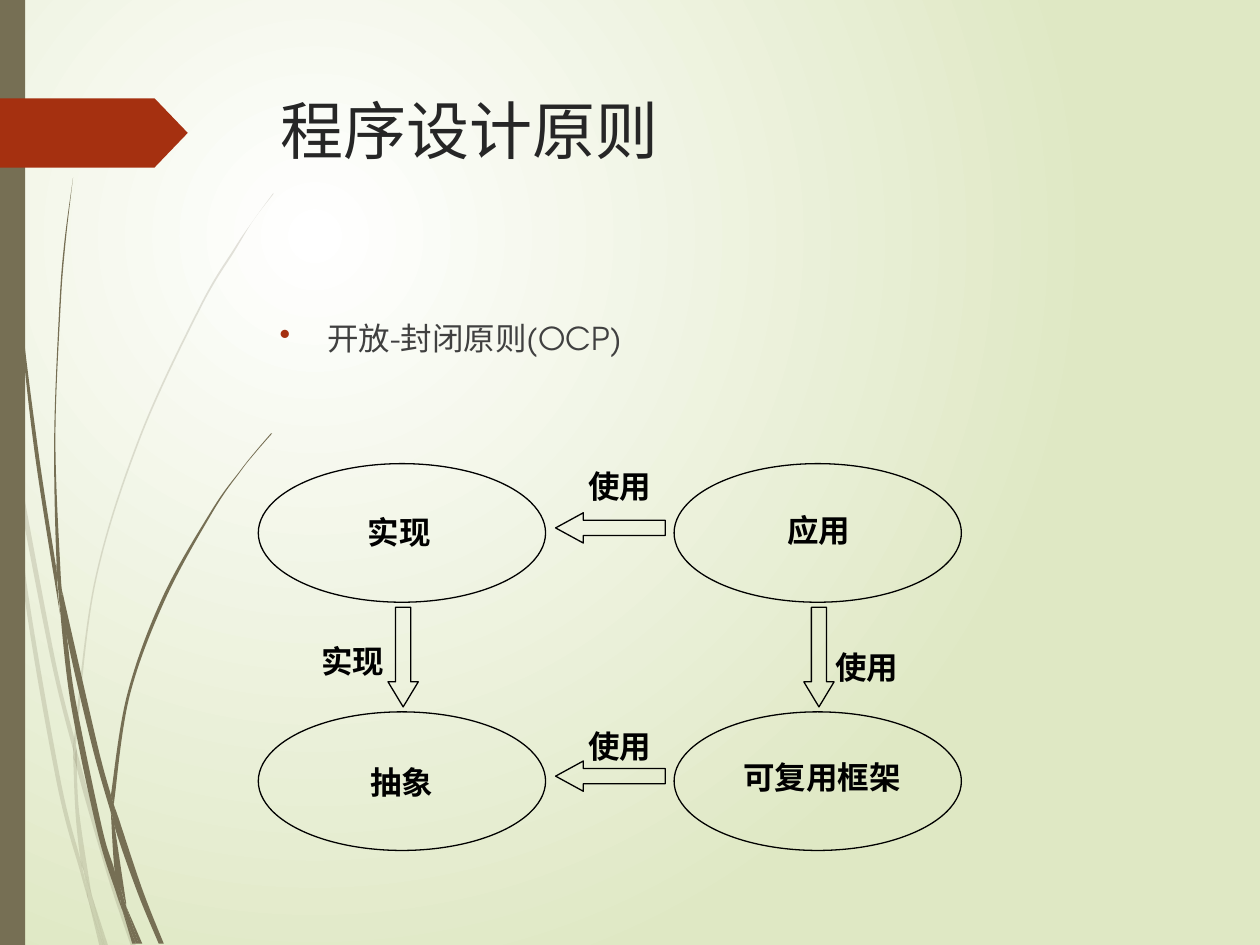
import lxml.etree
import pptx
import pptx.dml.color
import pptx.enum.shapes
import pptx.enum.text
import pptx.oxml.ns
import pptx.util

Inches = pptx.util.Inches
Pt = pptx.util.Pt
qn = pptx.oxml.ns.qn
SHAPES = pptx.enum.shapes.MSO_SHAPE

STEM, ACCENT, BLACK = "766F54", "A53010", "000000"
HEADING_FONT, LABEL_FONT = "TeX Gyre Adventor", "Courier New"

FAINT_STEMS = [
    ([(0.08, 3.5), (0.06, 3.22), (0, 2.82)], [(0, 2.99), (0.07, 3.44), (0.08, 3.5)]),
    ([(0.1, 3.45), (0.12, 3.76), (0.4, 5.22), (0.59, 5.99)],
     [(0.59, 5.86), (0.43, 5.2), (0.1, 3.45)]),
    ([(0.61, 5.96), (0.61, 6.1), (0.85, 6.94), (1.04, 7.51)],
     [(1.08, 7.51), (0.88, 6.92), (0.64, 6.07), (0.61, 5.96)]),
    ([(0.73, 7.11), (0.83, 7.51)], [(0.86, 7.51), (0.73, 7.11)]),
    ([(0.08, 3.5), (0.19, 4.7), (0.45, 6.21), (0.64, 6.93), (0.7, 7.14)],
     [(0.69, 7.07), (0.64, 6.83), (0.48, 6.19), (0.22, 4.69), (0.12, 3.76), (0.08, 3.5)]),
    ([(0.58, 5.99), (0.6, 6.46), (0.64, 6.83), (0.67, 6.92), (0.73, 7.11)],
     [(0.72, 7.06), (0.63, 6.46), (0.61, 6.1), (0.61, 6.08), (0.58, 5.99)]),
    ([(2.17, 1.53), (2.01, 1.75), (1.86, 1.97), (1.58, 2.44), (1.1, 3.48), (0.75, 4.61),
      (0.59, 5.84), (0.59, 5.86), (0.61, 5.96)],
     [(0.61, 5.96), (0.61, 5.84), (0.76, 4.62), (1.11, 3.49), (1.59, 2.45), (1.87, 1.98),
      (2.01, 1.75), (2.17, 1.54)]),
    ([(0.7, 7.14), (0.79, 7.51)], [(0.82, 7.51), (0.7, 7.14)]),
    ([(0.61, 6.08), (0.61, 6.1), (0.61, 5.96)], [(0.59, 5.86), (0.58, 5.99), (0.61, 6.08)]),
    ([(0.65, 6.83), (0.69, 7.07), (0.7, 7.14), (0.82, 7.51)],
     [(0.83, 7.51), (0.73, 7.11), (0.67, 6.92), (0.65, 6.83)]),
]
DARK_STEMS = [
    ([(0.02, 0), (0.03, 0.48), (0.05, 1.1), (0.14, 2.33), (0.27, 3.55), (0.46, 4.77),
      (0.47, 4.81)],
     [(0.45, 4.57), (0.45, 4.53), (0.3, 3.55), (0.15, 2.32), (0.06, 1.09), (0.04, 0.48),
      (0.03, 0)]),
    ([(0.5, 4.72), (0.53, 5.05), (0.73, 5.92), (0.88, 6.45)],
     [(0.88, 6.33), (0.88, 6.31), (0.77, 5.9), (0.5, 4.72)]),
    ([(0.91, 6.41), (0.91, 6.56), (1.09, 7.08), (1.26, 7.49)],
     [(1.3, 7.49), (1.13, 7.06), (0.94, 6.49), (0.91, 6.41)]),
    ([(0.47, 4.77), (0.56, 5.57), (0.77, 6.59), (0.92, 7.08), (0.97, 7.22)],
     [(0.96, 7.17), (0.91, 6.91), (0.81, 6.57), (0.6, 5.56), (0.53, 5.05), (0.47, 4.77)]),
    ([(0.58, 1.41), (0.51, 1.93), (0.47, 2.45), (0.43, 3.49), (0.45, 4.49), (0.49, 4.72)],
     [(0.5, 4.72), (0.48, 4.53), (0.44, 3.49), (0.48, 2.45), (0.52, 1.93), (0.58, 1.41)]),
    ([(1, 7.19), (1.1, 7.49)], [(1.13, 7.49), (1, 7.19)]),
    ([(0.47, 4.77), (0.53, 5.05), (0.5, 4.72)],
     [(0.49, 4.72), (0.45, 4.49), (0.45, 4.53), (0.47, 4.77)]),
    ([(2.15, 3.44), (2.03, 3.58), (1.91, 3.73), (1.68, 4.05), (1.29, 4.74), (1.01, 5.51),
      (0.88, 6.31)],
     [(0.91, 6.41), (0.91, 6.33), (1.03, 5.52), (1.31, 4.76), (1.69, 4.06), (1.91, 3.74),
      (2.03, 3.59), (2.16, 3.44)]),
    ([(0.97, 7.22), (1.05, 7.49)], [(1.08, 7.49), (0.97, 7.22)]),
    ([(0.88, 6.45), (0.91, 6.91), (0.96, 7.06), (1, 7.19)],
     [(1, 7.16), (0.91, 6.56), (0.9, 6.51), (0.88, 6.45)]),
    ([(0.88, 6.45), (0.9, 6.51), (0.91, 6.56)],
     [(0.91, 6.41), (0.88, 6.31), (0.88, 6.33), (0.88, 6.45)]),
    ([(0.96, 7.06), (0.91, 6.91), (0.96, 7.17), (0.97, 7.22), (1.08, 7.49)],
     [(1.1, 7.49), (1, 7.19), (0.96, 7.06)]),
]


def color(value):
    """Turn a hex string into a colour."""
    return pptx.dml.color.RGBColor.from_string(value)


def curve_points(points):
    """Return two control points and an end point for each step of a smooth curve."""
    padded = [points[0], *points, points[-1]]
    result = []
    for a, b, c, d in zip(padded, padded[1:], padded[2:], padded[3:]):
        result.append(tuple(q + (r - p) / 6 for p, q, r in zip(a, b, c)))
        result.append(tuple(r - (s - q) / 6 for q, r, s in zip(b, c, d)))
        result.append(c)
    return result


def paint(shape, fill=None, line=None):
    """Give a shape a plain fill and line, without shadow."""
    shape.shadow.inherit = False
    if fill:
        shape.fill.solid()
        shape.fill.fore_color.rgb = color(fill)
    else:
        shape.fill.background()
    if line:
        shape.line.color.rgb = color(line)
        shape.line.width = Pt(0.75)
    else:
        shape.line.fill.background()


def add_preset(slide, kind, box, fill=None, line=None, adjustments=()):
    """Add a painted preset shape in a box given in inches."""
    shape = slide.shapes.add_shape(kind, *map(Inches, box))
    for index, value in enumerate(adjustments):
        shape.adjustments[index] = value
    paint(shape, fill, line)


def add_text(slide, text, box, size, font, text_color, bold=False, wrap=True):
    """Add a text box and return its paragraph."""
    frame = slide.shapes.add_textbox(*map(Inches, box)).text_frame
    frame.word_wrap = wrap
    if not wrap:
        frame.auto_size = pptx.enum.text.MSO_AUTO_SIZE.SHAPE_TO_FIT_TEXT
    paragraph = frame.paragraphs[0]
    paragraph.text = text
    paragraph.font.size = Pt(size)
    paragraph.font.name = font
    paragraph.font.bold = bold
    paragraph.font.color.rgb = color(text_color)
    return paragraph


def add_stem(slide, box, edge, return_edge, opacity=100):
    """Draw one piece of a stem, bounded by two curved edges."""
    left, top = box
    joint = [edge[-1], return_edge[0], return_edge[0]]
    outline = [edge[0], *curve_points(edge), *joint, *curve_points(return_edge)]
    points = [(Inches(left + x), Inches(top + y)) for x, y in outline]
    builder = slide.shapes.build_freeform(*points[0])
    builder.add_line_segments(points[1:], close=True)
    shape = builder.convert_to_shape()
    segments = shape._element.findall(f".//{qn('a:lnTo')}")
    for first in range(0, len(segments), 3):
        curve = lxml.etree.Element(qn("a:cubicBezTo"))
        segments[first].addprevious(curve)
        for segment in segments[first:first + 3]:
            curve.append(segment[0])
            segment.getparent().remove(segment)
    paint(shape, STEM)
    if opacity < 100:
        fill_color = shape._element.spPr.find(f".//{qn('a:srgbClr')}")
        lxml.etree.SubElement(fill_color, qn("a:alpha"), val=str(opacity * 1000))


def add_background(slide):
    """Fill the slide with a glow from its upper left."""
    fill = slide.background.fill
    fill.gradient()
    for stop, value in zip(fill.gradient_stops, ("FFFFFF", "DFE8C4")):
        stop.color.rgb = color(value)
    stops = slide._element.find(f".//{qn('a:gsLst')}")
    for stop, position in zip(stops, ("0", "100000")):
        stop.set("pos", position)
    gradient = stops.getparent()
    gradient.remove(gradient.find(qn("a:lin")))
    circle = lxml.etree.Element(qn("a:path"), {"path": "circle"})
    lxml.etree.SubElement(circle, qn("a:fillToRect"),
                          l="50000", t="50000", r="100000", b="100000")
    stops.addnext(circle)


def add_decoration(slide, box):
    """Draw the stems, the side band and the tag."""
    left, top = box
    for stems, opacity in ((FAINT_STEMS, 20), (DARK_STEMS, 100)):
        for edges in stems:
            add_stem(slide, box, *edges, opacity=opacity)
    add_preset(slide, SHAPES.RECTANGLE, (left, top, 0.2, 7.5), STEM)
    add_preset(slide, SHAPES.PENTAGON, (left, top + 0.78, 1.49, 0.55), ACCENT,
               adjustments=[0.48])


def add_heading(slide, box):
    """Place the title and the bullet below it."""
    left, top, width = box
    add_text(slide, "程序设计原则", (left, top, width, 1.4), 36, HEADING_FONT, "262626")
    paragraph = add_text(slide, "开放-封闭原则(OCP)", (left - 0.01, top + 1.65, width, 1.02),
                         18, HEADING_FONT, "404040")
    paragraph.line_spacing = 1.5
    properties = paragraph._p.get_or_add_pPr()
    properties.set("marL", str(Inches(0.38)))
    properties.set("indent", str(-Inches(0.38)))
    bullet_color = lxml.etree.Element(qn("a:buClr"))
    lxml.etree.SubElement(bullet_color, qn("a:srgbClr"), val=ACCENT)
    properties.find(qn("a:lnSpc")).addnext(bullet_color)
    bullet_color.addnext(lxml.etree.Element(qn("a:buChar"), char="•"))


def add_diagram(slide, box):
    """Draw four ellipses joined by arrows, with their labels."""
    left, top = box
    column_step, row_step = 3.3, 1.97
    for y in (top, top + row_step):
        for x in (left, left + column_step):
            add_preset(slide, SHAPES.OVAL, (x, y, 2.28, 1.1), line=BLACK)
        add_preset(slide, SHAPES.LEFT_ARROW, (left + 2.36, y + 0.39, 0.87, 0.24),
                   line=BLACK, adjustments=[0.5, 0.917])
    for x in (left, left + column_step):
        add_preset(slide, SHAPES.DOWN_ARROW, (x + 1.03, top + 1.14, 0.24, 0.79),
                   line=BLACK, adjustments=[0.5, 0.827])
    labels = [
        ("实现", 0.77, 0.34), ("应用", 4.1, 0.33), ("抽象", 0.79, 2.33), ("可复用框架", 3.75, 2.29),
        ("使用", 2.52, -0.02), ("使用", 2.52, 2.04), ("实现", 0.4, 1.37), ("使用", 4.48, 1.41),
    ]
    for text, x, y in labels:
        add_text(slide, text, (left + x, top + y, 0.2 + 0.25 * len(text), 0.4), 18,
                 LABEL_FONT, BLACK, bold=True, wrap=False)


def main():
    """Build the slide and save it."""
    presentation = pptx.Presentation()
    presentation.slide_width, presentation.slide_height = Inches(10), Inches(7.5)
    slide = presentation.slides.add_slide(presentation.slide_layouts[6])
    add_background(slide)
    add_decoration(slide, (0, 0))
    add_heading(slide, (2.13, 0.68, 7.21))
    add_diagram(slide, (2.05, 3.68))
    presentation.save("out.pptx")


if __name__ == "__main__":
    main()
